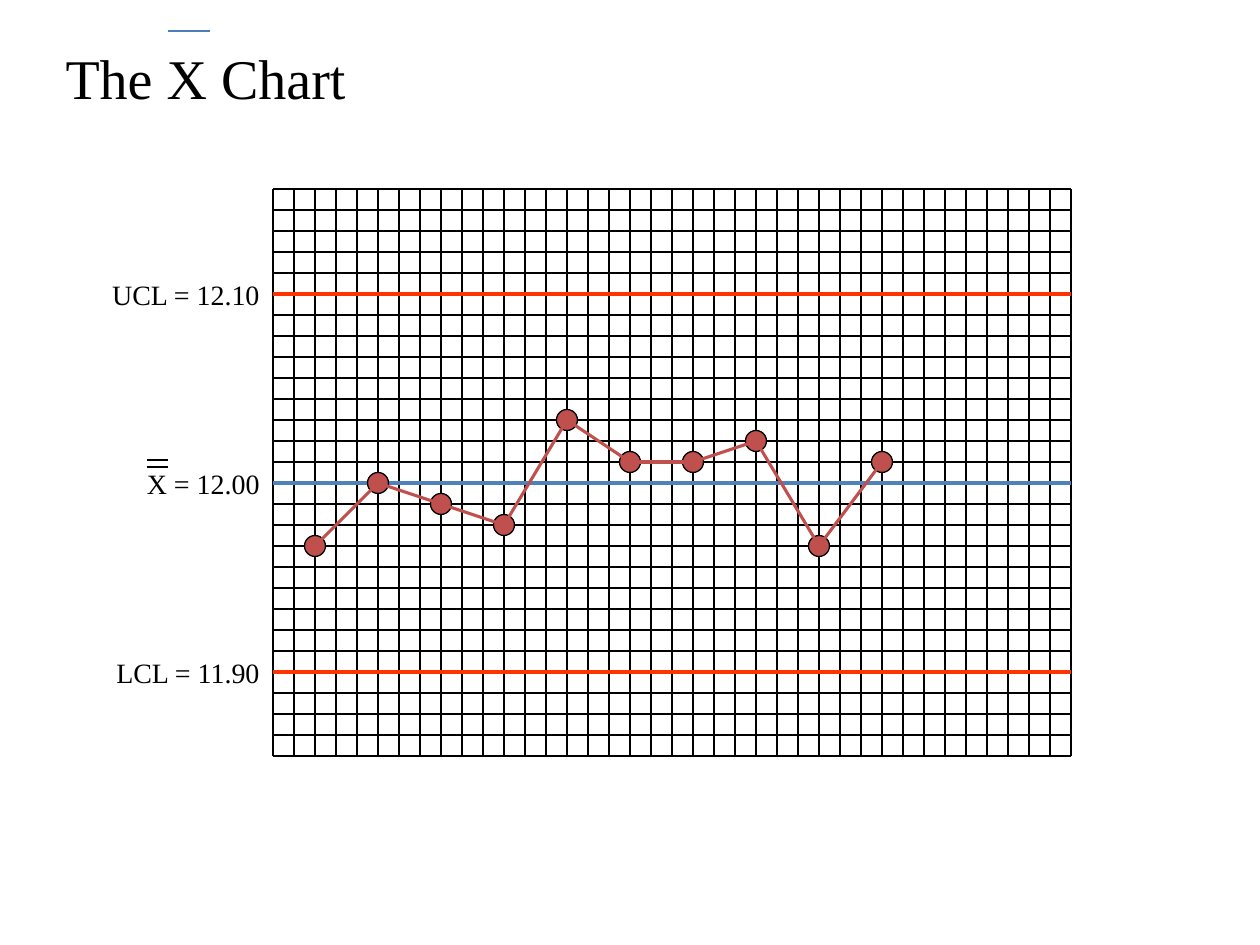
from itertools import pairwise

from lxml import etree
from pptx import Presentation
from pptx import util as u
from pptx.dml.color import RGBColor
from pptx.enum import shapes, text
from pptx.oxml import ns

PX = u.Inches(1) / 126
FONT = "Times New Roman"
BLACK = RGBColor(0x00, 0x00, 0x00)
LIMIT = RGBColor(0xFF, 0x33, 0x00)
CENTER = RGBColor(0x4F, 0x81, 0xBD)
SERIES = RGBColor(0xC0, 0x50, 0x4D)
TITLE_BAR = RGBColor(0x4B, 0x7E, 0xBC)

CELL, COLS, ROWS = 21, 38, 27
LEVELS = [("LCL = 11.90", 23, LIMIT), ("UCL = 12.10", 5, LIMIT), ("X = 12.00", 14, CENTER)]
SAMPLE_ROWS = [17, 14, 15, 16, 11, 13, 13, 12, 17, 13]
FIRST_COL, COL_STEP = 2, 3


def px(n):
    """Turn pixels into EMU."""
    return u.Emu(round(n * PX))


def add_line(parent, start, end, color=BLACK, width=0.75):
    """Draw a straight line without a shadow."""
    c = parent.add_connector(shapes.MSO_CONNECTOR.STRAIGHT, *map(px, (*start, *end)))
    c.line.color.rgb = color
    c.line.width = u.Pt(width)
    etree.SubElement(c._element.spPr, ns.qn("a:effectLst"))


def write(sp, words, size, align, top_margin):
    """Fill a box with one formatted paragraph."""
    tf = sp.text_frame
    tf.text = words
    tf.word_wrap = True
    tf.auto_size = text.MSO_AUTO_SIZE.NONE
    tf.vertical_anchor = text.MSO_ANCHOR.TOP
    tf.margin_top = px(top_margin)
    p = tf.paragraphs[0]
    p.alignment = align
    font = p.runs[0].font
    font.name, font.size, font.color.rgb = FONT, u.Pt(size), BLACK


def add_title(s, x, y, w, h):
    """Place the title with the bar over its X."""
    sp = s.shapes.title
    sp.left, sp.top, sp.width, sp.height = map(px, (x, y, w, h))
    write(sp, "The X Chart", 32, text.PP_ALIGN.LEFT, 12)
    add_line(s.shapes, (x + 115, y), (x + 157, y), TITLE_BAR)


def add_grid(s, x, y):
    """Draw the chart paper as one group."""
    grid = s.shapes.add_group_shape().shapes
    right, bottom = x + COLS * CELL, y + ROWS * CELL
    for gx in range(x, right + 1, CELL):
        add_line(grid, (gx, y), (gx, bottom))
    for gy in range(y, bottom + 1, CELL):
        add_line(grid, (x, gy), (right, gy))


def add_levels(s, x, y):
    """Draw the control limits and center line with their labels."""
    for words, row, color in LEVELS:
        level = y + row * CELL
        sp = s.shapes.add_textbox(*map(px, (x - 180, level - 24, 179, 47)))
        write(sp, words, 16, text.PP_ALIGN.RIGHT, 8)
        add_line(s.shapes, (x, level), (x + COLS * CELL, level), color, 2)
        if color == CENTER:
            for bar in (level - 23, level - 16):
                add_line(s.shapes, (x - 126, bar), (x - 105, bar))


def add_samples(s, x, y):
    """Draw the sample means and the lines that join them."""
    points = [(x + (FIRST_COL + i * COL_STEP) * CELL, y + row * CELL)
              for i, row in enumerate(SAMPLE_ROWS)]
    for cx, cy in points:
        box = (cx - CELL / 2, cy - CELL / 2, CELL, CELL)
        sp = s.shapes.add_shape(shapes.MSO_SHAPE.OVAL, *map(px, box))
        sp.shadow.inherit = False
        sp.fill.solid()
        sp.fill.fore_color.rgb = SERIES
        sp.line.color.rgb = BLACK
        sp.line.width = u.Pt(0.75)
    for start, end in pairwise(points):
        add_line(s.shapes, start, end, SERIES, 1.75)


def add_control_chart(s, x, y):
    """Build the control chart from its top left corner."""
    add_grid(s, x, y)
    add_levels(s, x, y)
    add_samples(s, x, y)


def main():
    """Build and save the slide."""
    prs = Presentation()
    prs.slide_width, prs.slide_height = px(1260), px(945)
    s = prs.slides.add_slide(prs.slide_layouts[5])
    add_control_chart(s, 273, 189)
    add_title(s, 53, 31, 1124, 79)
    prs.save("out.pptx")


if __name__ == "__main__":
    main()
